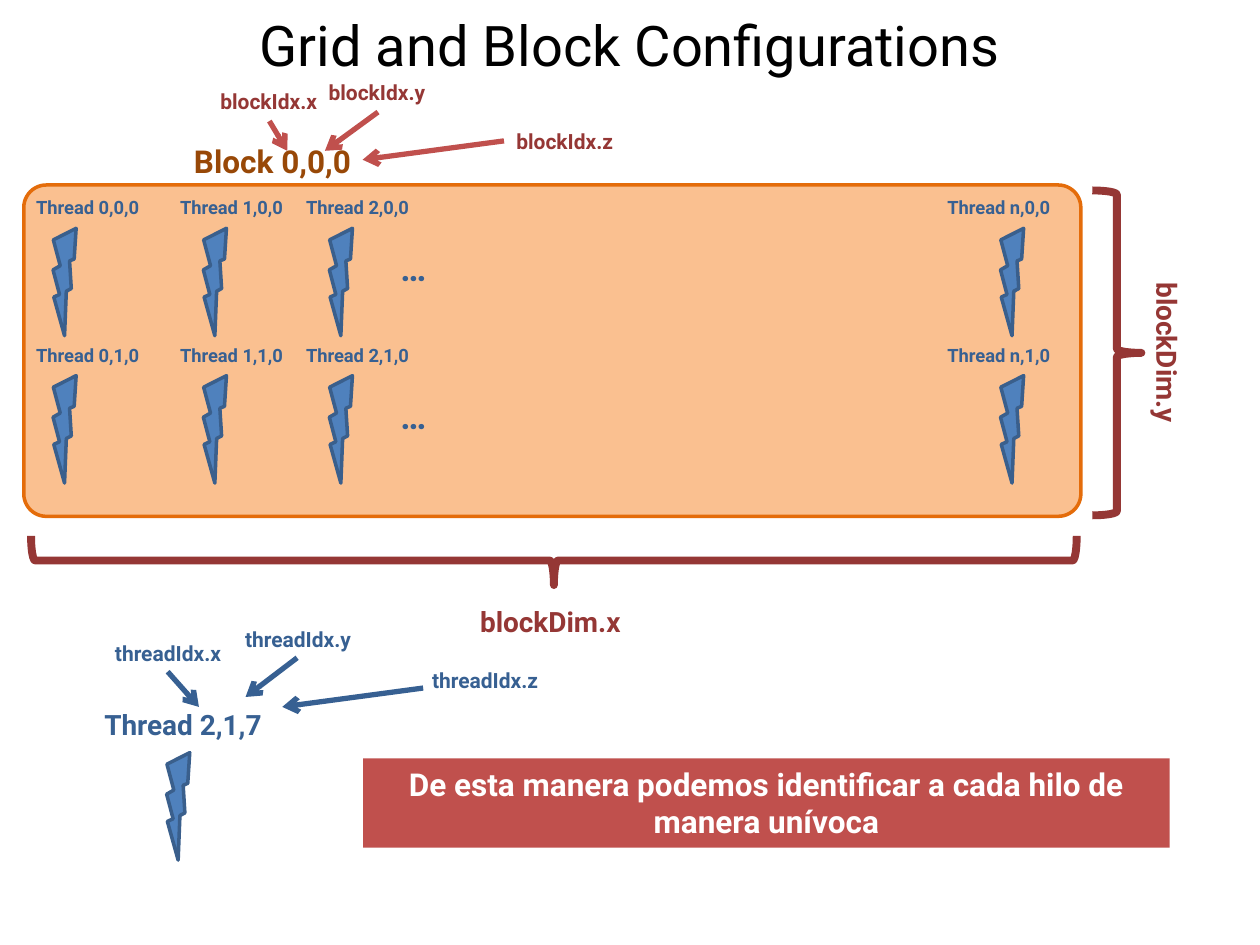
from pptx import Presentation
from pptx.dml.color import RGBColor
from pptx.enum.shapes import MSO_CONNECTOR, MSO_SHAPE
from pptx.enum.text import MSO_ANCHOR, PP_ALIGN
from pptx.oxml.ns import qn
from pptx.util import Cm, Pt
from lxml.etree import SubElement

FONT = "Roboto"
COLORS = {
    "black": "000000", "white": "FFFFFF", "red": "C0504D", "dark_red": "953735",
    "blue": "4F81BD", "bolt_edge": "3A5F8C", "dark_blue": "376092",
    "peach": "FAC090", "orange": "E46C0A", "brown": "984807",
}
BOLT_W, BOLT_H = 0.89, 2.11


def rgb(name):
    return RGBColor.from_string(COLORS[name])


def write(tf, text, size=12, color="dark_blue", bold=True, align=PP_ALIGN.LEFT,
          anchor=MSO_ANCHOR.TOP):
    tf.word_wrap = True
    tf.vertical_anchor = anchor
    p = tf.paragraphs[0]
    p.alignment = align
    r = p.add_run()
    r.text = text
    r.font.name, r.font.size, r.font.bold = FONT, Pt(size), bold
    r.font.color.rgb = rgb(color)


def add_text(s, x, y, w, h, text, **fmt):
    tb = s.shapes.add_textbox(Cm(x), Cm(y), Cm(w), Cm(h))
    write(tb.text_frame, text, **fmt)
    return tb


def add_shape(s, kind, x, y, w, h, fill=None, line=None, width=2, rotation=0):
    sp = s.shapes.add_shape(kind, Cm(x), Cm(y), Cm(w), Cm(h))
    sp.shadow.inherit = False
    sp.rotation = rotation
    if fill:
        sp.fill.solid()
        sp.fill.fore_color.rgb = rgb(fill)
    else:
        sp.fill.background()
    if line:
        sp.line.color.rgb = rgb(line)
        sp.line.width = Pt(width)
    else:
        sp.line.fill.background()
    return sp


def add_bolt(s, x, y):
    add_shape(s, MSO_SHAPE.LIGHTNING_BOLT, x, y, BOLT_W, BOLT_H,
              fill="blue", line="bolt_edge", rotation=20.5)


def add_arrow(s, x1, y1, x2, y2, color):
    cn = s.shapes.add_connector(MSO_CONNECTOR.STRAIGHT, Cm(x1), Cm(y1), Cm(x2), Cm(y2))
    cn.line.color.rgb = rgb(color)
    cn.line.width = Pt(3)
    SubElement(cn.line._get_or_add_ln(), qn("a:tailEnd")).set("type", "arrow")
    SubElement(cn._element.spPr, qn("a:effectLst"))


def add_title(s, x, y, w, h):
    title = s.shapes.title
    title.left, title.top, title.width, title.height = Cm(x), Cm(y), Cm(w), Cm(h)
    write(title.text_frame, "Grid and Block Configurations", size=32, color="black",
          bold=False, align=PP_ALIGN.CENTER, anchor=MSO_ANCHOR.MIDDLE)


def add_block(s, x, y, w, h):
    """Block panel with two rows of threads."""
    panel = add_shape(s, MSO_SHAPE.ROUNDED_RECTANGLE, x, y, w, h,
                      fill="peach", line="orange")
    panel.adjustments[0] = 0.068
    # Column name, label offset, bolt offset
    columns = [("0", 0, 0.33), ("1", 2.9, 3.36), ("2", 5.44, 5.9), ("n", 18.37, 19.43)]
    for row in range(2):
        top = y + row * 2.97
        for col, label_x, bolt_x in columns:
            add_bolt(s, x + bolt_x, top + 0.84)
            add_text(s, x + label_x, top + 0.11, 2.95, 0.71,
                     f"Thread {col},{row},0", size=10.5)
        add_text(s, x + 7.34, top + 1.12, 1.27, 1.12, "…", size=20)


def add_dimensions(s, x, y, w, h):
    """Braces and names below and to the right of the block."""
    depth, span = 0.99, w - 0.23
    mid_x, mid_y = x + w / 2 + 0.03, y + h + 0.89
    brace = dict(line="dark_red", width=4.5)
    fmt = dict(size=16, color="dark_red", align=PP_ALIGN.CENTER)
    add_shape(s, MSO_SHAPE.RIGHT_BRACE, mid_x - depth / 2, mid_y - span / 2,
              depth, span, rotation=90, **brace)
    add_text(s, x + 8.61, y + h + 1.66, 4.01, 0.94, "blockDim.x", **fmt)
    add_shape(s, MSO_SHAPE.RIGHT_BRACE, x + w + 0.23, y + 0.11, depth, h - 0.13, **brace)
    tb = add_text(s, x + w + 1.15, y + 1.55, 1.19, 3.66, "blockDim.y",
                  anchor=MSO_ANCHOR.MIDDLE, **fmt)
    tb.text_frame._txBody.bodyPr.set("vert", "vert")


def add_index_key(s, x, y, prefix, parts, text_color, arrow_color):
    """Index names with arrows; parts maps axis to label place and arrow ends."""
    for axis, ((dx, dy), (x1, y1, x2, y2)) in parts.items():
        add_arrow(s, x + x1, y + y1, x + x2, y + y2, arrow_color)
        add_text(s, x + dx, y + dy, 3.38, 0.76, f"{prefix}Idx.{axis}", color=text_color,
                 align=PP_ALIGN.LEFT if axis == "z" else PP_ALIGN.CENTER)


def add_block_key(s, x, y):
    add_index_key(s, x, y, "block", {
        "x": ((0, 0.2), (1.7, 0.97, 2.06, 1.57)),
        "y": ((2.18, 0), (3.89, 0.79, 2.82, 1.57)),
        "z": ((6.43, 0.99), (6.43, 1.37, 3.58, 1.75)),
    }, "dark_red", "red")
    add_text(s, x - 0.07, y + 1.27, 4.39, 1.02, "Block 0,0,0", size=18, color="brown")


def add_thread_key(s, x, y):
    add_index_key(s, x, y, "thread", {
        "x": ((0, 0.28), (1.68, 1.04, 2.31, 1.75)),
        "y": ((2.62, 0), (4.29, 0.76, 3.25, 1.55)),
        "z": ((6.76, 0.84), (6.83, 1.37, 3.99, 1.75)),
    }, "dark_blue", "dark_blue")
    add_text(s, x - 0.23, y + 1.63, 4.44, 0.94, "Thread 2,1,7", size=16,
             align=PP_ALIGN.CENTER)
    add_bolt(s, x + 1.4, y + 2.64)


def add_banner(s, x, y, w, h):
    sp = add_shape(s, MSO_SHAPE.RECTANGLE, x, y, w, h, fill="red")
    write(sp.text_frame, "De esta manera podemos identificar a cada hilo de manera unívoca",
          size=18, color="white", align=PP_ALIGN.CENTER)


def main():
    prs = Presentation()
    prs.slide_width, prs.slide_height = Cm(25.4), Cm(19.05)
    s = prs.slides.add_slide(prs.slide_layouts[5])
    block = (0.48, 3.73, 21.31, 6.68)
    add_title(s, 1.27, 0, 22.86, 1.78)
    add_block(s, *block)
    add_block_key(s, 3.73, 1.47)
    add_dimensions(s, *block)
    add_thread_key(s, 1.7, 12.5)
    add_banner(s, 7.32, 15.29, 16.26, 1.8)
    prs.save("out.pptx")


if __name__ == "__main__":
    main()
